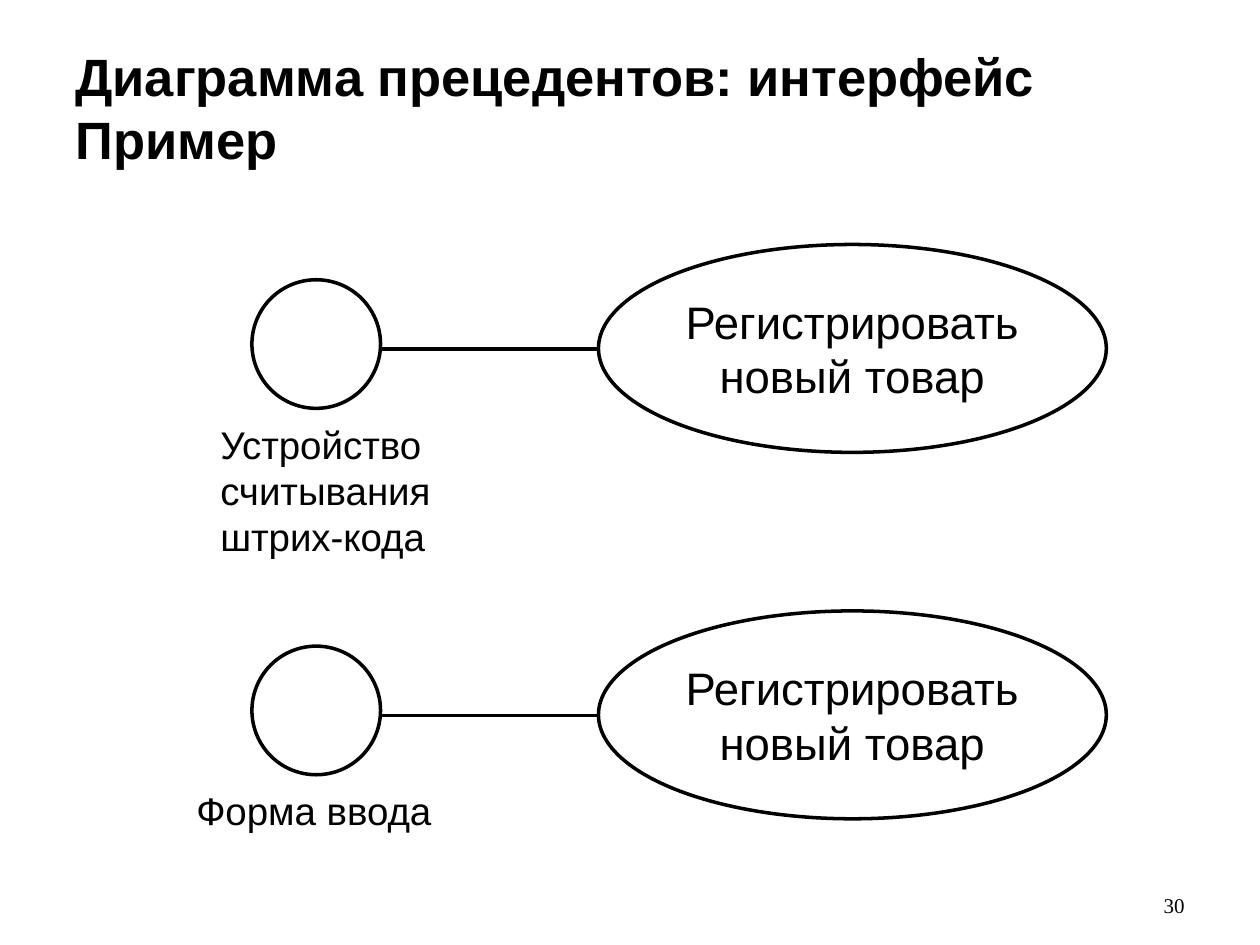
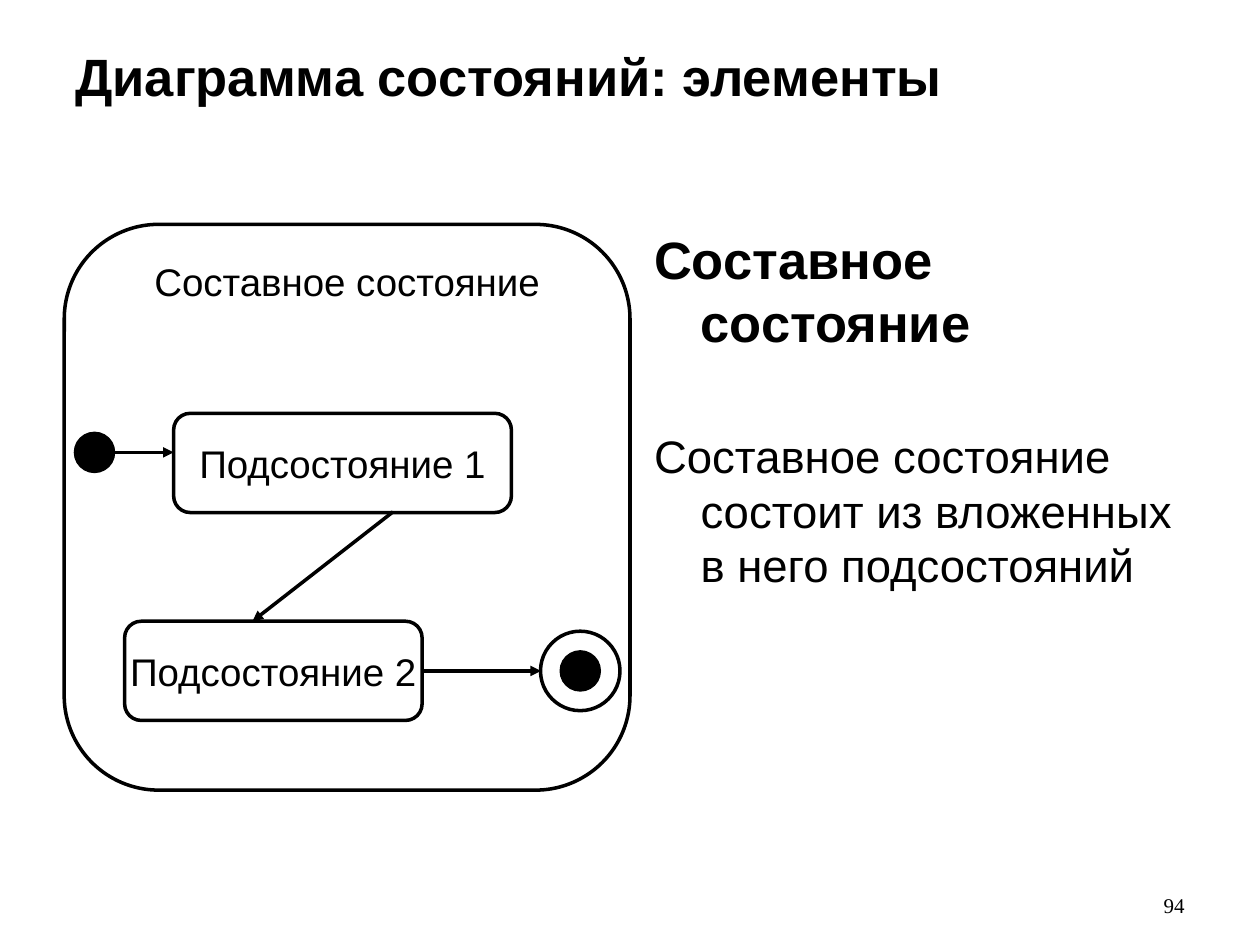
from dataclasses import dataclass

from lxml.etree import SubElement
from pptx import Presentation
from pptx.dml.color import RGBColor
from pptx.enum.shapes import MSO_CONNECTOR, MSO_SHAPE
from pptx.enum.text import MSO_ANCHOR, MSO_AUTO_SIZE, PP_ALIGN
from pptx.oxml.ns import qn
from pptx.util import Pt


@dataclass(frozen=True)
class Theme:
    ink: RGBColor = RGBColor(0, 0, 0)
    font: str = "Arial"
    number_font: str = "Times New Roman"
    title_size: float = 30
    body_size: float = 26
    label_size: float = 22
    number_size: float = 12
    outline: float = 2
    dot_outline: float = 0.75
    corner: float = 0.167
    body_margin: float = 27.4
    body_indent: float = -26.6


THEME = Theme()


def write_text(frame, text, size=THEME.label_size, bold=False, font=THEME.font,
               align=PP_ALIGN.LEFT, space_before=0, hanging=False, append=False):
    paragraph = frame.add_paragraph() if append else frame.paragraphs[0]
    paragraph.text = text
    paragraph.alignment = align
    paragraph.space_before = Pt(space_before)
    if hanging:
        properties = paragraph._p.get_or_add_pPr()
        properties.set("marL", str(Pt(THEME.body_margin)))
        properties.set("indent", str(Pt(THEME.body_indent)))
    for run in paragraph.runs:
        run.font.name = font
        run.font.size = Pt(size)
        run.font.bold = bold
        run.font.color.rgb = THEME.ink


class Deck:
    def __init__(self, theme):
        self.theme = theme
        self.presentation = Presentation()
        self.presentation.slide_width = Pt(720)
        self.presentation.slide_height = Pt(540)
        self.slide = None

    def start_slide(self, title, number):
        blank = self.presentation.slide_layouts[6]
        self.slide = self.presentation.slides.add_slide(blank)
        write_text(self.text_box(36, 21.6, 648, 90), title,
                   size=self.theme.title_size, bold=True)
        number_frame = self.text_box(643.7, 491.8, 40.3, 36, anchor=MSO_ANCHOR.BOTTOM)
        write_text(number_frame, number, size=self.theme.number_size,
                   font=self.theme.number_font, align=PP_ALIGN.RIGHT)

    def text_box(self, left, top, width, height, anchor=MSO_ANCHOR.TOP, wrap=True):
        box = self.slide.shapes.add_textbox(Pt(left), Pt(top), Pt(width), Pt(height))
        frame = box.text_frame
        frame.word_wrap = wrap
        frame.vertical_anchor = anchor
        frame.auto_size = MSO_AUTO_SIZE.NONE if wrap else MSO_AUTO_SIZE.SHAPE_TO_FIT_TEXT
        return frame

    def label(self, left, top, width, height, lines):
        frame = self.text_box(left, top, width, height, wrap=False)
        for index, line in enumerate(lines):
            write_text(frame, line, append=index > 0)

    def shape(self, kind, left, top, width, height, text="", size=THEME.label_size,
              wrap=False, anchor=MSO_ANCHOR.MIDDLE, filled=False):
        shape = self.slide.shapes.add_shape(kind, Pt(left), Pt(top), Pt(width), Pt(height))
        shape.shadow.inherit = False
        if filled:
            shape.fill.solid()
            shape.fill.fore_color.rgb = self.theme.ink
        else:
            shape.fill.background()
        shape.line.color.rgb = self.theme.ink
        shape.line.width = Pt(self.theme.dot_outline if filled else self.theme.outline)
        if text:
            shape.text_frame.word_wrap = wrap
            shape.text_frame.vertical_anchor = anchor
            write_text(shape.text_frame, text, size=size, align=PP_ALIGN.CENTER)
        return shape

    def circle(self, center_x, center_y, diameter, filled=False):
        self.shape(MSO_SHAPE.OVAL, center_x - diameter / 2, center_y - diameter / 2,
                   diameter, diameter, filled=filled)

    def state(self, left, top, width, height, text, anchor=MSO_ANCHOR.MIDDLE):
        shape = self.shape(MSO_SHAPE.ROUNDED_RECTANGLE, left, top, width, height,
                           text, anchor=anchor)
        shape.adjustments[0] = self.theme.corner

    def line(self, start_x, start_y, end_x, end_y, arrow=False):
        connector = self.slide.shapes.add_connector(
            MSO_CONNECTOR.STRAIGHT, Pt(start_x), Pt(start_y), Pt(end_x), Pt(end_y))
        connector.line.color.rgb = self.theme.ink
        connector.line.width = Pt(self.theme.outline)
        if arrow:
            SubElement(connector.line._get_or_add_ln(), qn("a:tailEnd"), type="triangle")
        SubElement(connector._element.spPr, qn("a:effectLst"))


def build_interface_slide(deck):
    deck.start_slide("Диаграмма прецедентов: интерфейс\nПример", "30")
    interfaces = [
        (118.8, 134.6, ["Устройство", "считывания", "штрих-кода"]),
        (105.1, 149, ["Форма ввода"]),
    ]
    for row, (label_left, label_width, lines) in enumerate(interfaces):
        top = 139.7 + row * 209.4
        deck.circle(180.7, top + 56.9, 73.5)
        deck.label(label_left, top + 97.2, label_width, 7.2 + 26.4 * len(lines), lines)
        deck.shape(MSO_SHAPE.OVAL, 342, top, 290.2, 118.8, "Регистрировать новый товар",
                   size=deck.theme.body_size, wrap=True)
        deck.line(217.4, top + 59.7, 342, top + 59.7)


def build_composite_state_slide(deck):
    deck.start_slide("Диаграмма состояний: элементы", "94")
    deck.state(36.7, 128.2, 323.3, 323.3, "Составное состояние", anchor=MSO_ANCHOR.TOP)
    deck.state(99.2, 236.2, 193, 56.7, "Подсостояние 1")
    deck.state(71.2, 355, 170, 56.7, "Подсостояние 2")

    initial_y, final_x, final_y = 258.5, 331.6, 383.4
    deck.circle(54, initial_y, 23, filled=True)
    deck.circle(final_x, final_y, 23, filled=True)
    deck.circle(final_x, final_y, 45.4)

    deck.line(65.5, initial_y, 99.2, initial_y, arrow=True)
    deck.line(224.6, 292.5, 144.3, 355, arrow=True)
    deck.line(240.5, final_y, 309.2, final_y, arrow=True)

    frame = deck.text_box(365.8, 126, 318.2, 356.4)
    write_text(frame, "Составное состояние", size=deck.theme.title_size,
               bold=True, hanging=True)
    write_text(frame, "Составное состояние состоит из вложенных в него подсостояний",
               size=deck.theme.body_size, hanging=True, space_before=43, append=True)


def main():
    deck = Deck(THEME)
    build_interface_slide(deck)
    build_composite_state_slide(deck)
    deck.presentation.save("out.pptx")


if __name__ == "__main__":
    main()
